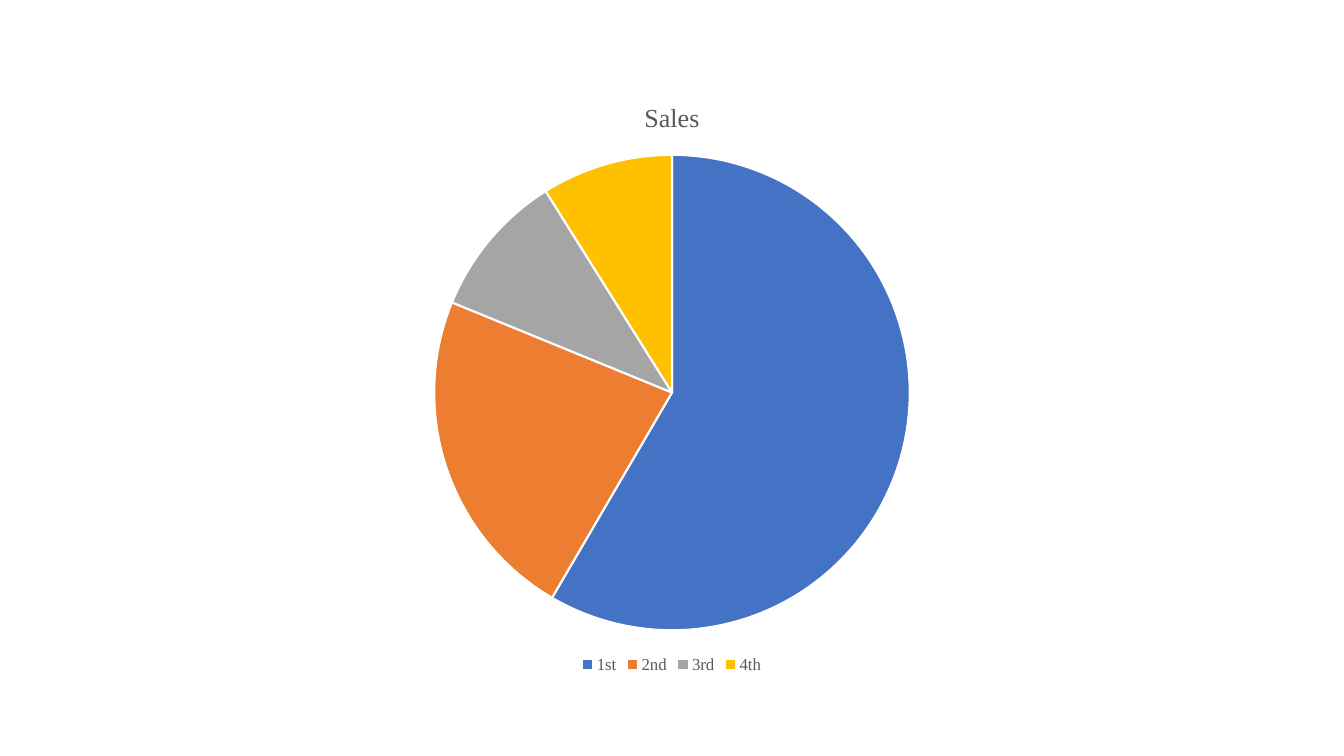
from pptx import Presentation
from pptx.chart.data import CategoryChartData
from pptx.dml.color import RGBColor
from pptx.enum.chart import XL_CHART_TYPE, XL_LEGEND_POSITION
from pptx.util import Inches, Pt

WHITE = RGBColor(0xFF, 0xFF, 0xFF)
BLACK = RGBColor(0x00, 0x00, 0x00)
GREY_TEXT = RGBColor(0x59, 0x59, 0x59)
BLUE = RGBColor(0x44, 0x72, 0xC4)
ORANGE = RGBColor(0xED, 0x7D, 0x31)
GREY = RGBColor(0xA5, 0xA5, 0xA5)
GOLD = RGBColor(0xFF, 0xC0, 0x00)

# Quarter, share of sales, slice colour
QUARTERS = [
    ("1st", 59, BLUE),
    ("2nd", 23, ORANGE),
    ("3rd", 10, GREY),
    ("4th", 9, GOLD),
]


class SlideBuilder:
    """Holds the font and the current slide."""

    def __init__(self, slide, font_name):
        self.slide = slide
        self.font_name = font_name

    def style(self, font, size, color):
        font.name = self.font_name
        font.size = Pt(size)
        font.bold = False
        font.color.rgb = color

    def background(self, color):
        fill = self.slide.background.fill
        fill.solid()
        fill.fore_color.rgb = color

    def pie(self, title, slices, left, top, width, height):
        labels, shares, colors = zip(*slices)
        sales_data = CategoryChartData()
        sales_data.categories = labels
        sales_data.add_series("Series 1", shares)
        chart = self.slide.shapes.add_chart(
            XL_CHART_TYPE.PIE, Inches(left), Inches(top),
            Inches(width), Inches(height), sales_data).chart
        self.style(chart.font, 10, BLACK)

        # Title
        chart.has_title = True
        heading = chart.chart_title.text_frame.paragraphs[0].add_run()
        heading.text = title
        self.style(heading.font, 18.6, GREY_TEXT)
        chart.chart_title.include_in_layout = False

        # Legend
        chart.has_legend = True
        chart.legend.position = XL_LEGEND_POSITION.BOTTOM
        chart.legend.include_in_layout = False
        self.style(chart.legend.font, 12, GREY_TEXT)

        # Slices
        plot = chart.plots[0]
        plot.vary_by_categories = True
        for index, color in enumerate(colors):
            slice_format = plot.series[0].points[index].format
            slice_format.fill.solid()
            slice_format.fill.fore_color.rgb = color
            slice_format.line.color.rgb = WHITE
            slice_format.line.width = Pt(1.5)


def main():
    deck = Presentation()
    deck.slide_width = Inches(13.33)
    deck.slide_height = Inches(7.5)
    slide = deck.slides.add_slide(deck.slide_layouts[6])

    builder = SlideBuilder(slide, "Times New Roman")
    builder.background(WHITE)
    builder.pie("Sales", QUARTERS, 2.22, 0.79, 8.89, 5.93)

    deck.save("out.pptx")


if __name__ == "__main__":
    main()
